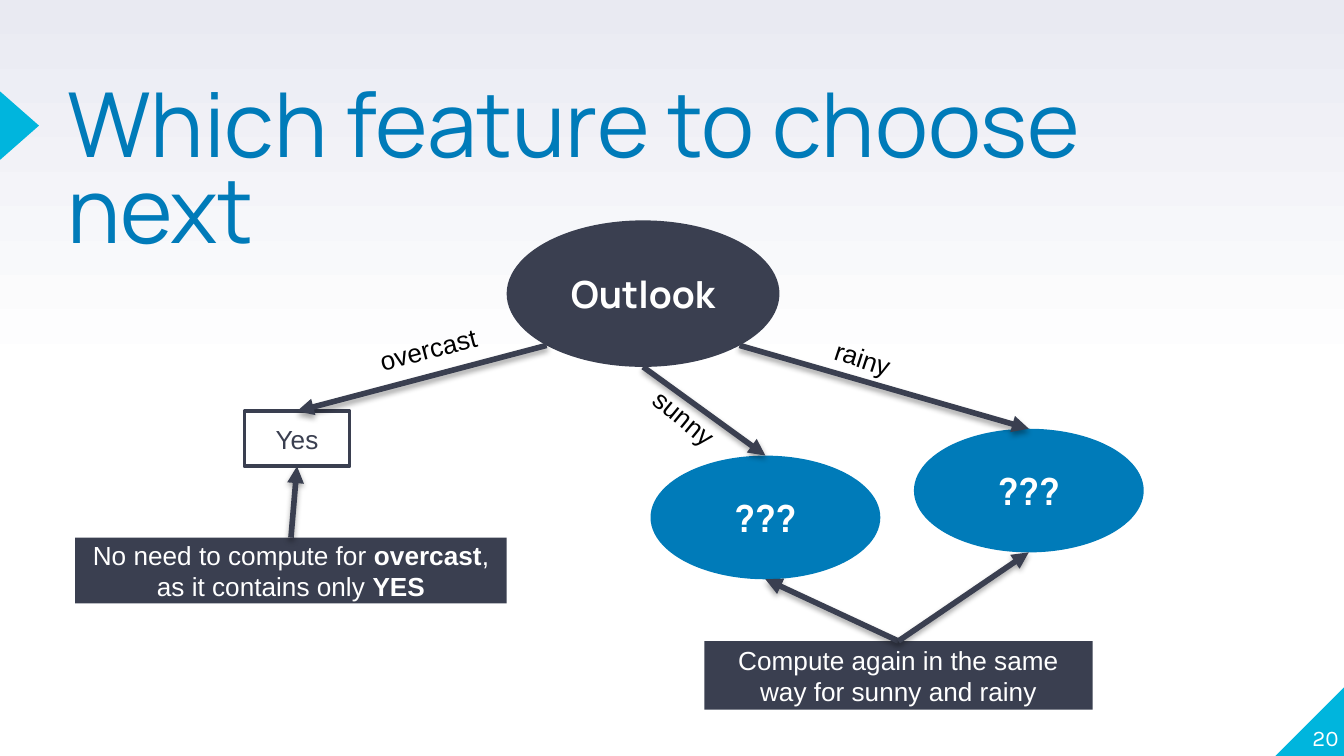
from collections import namedtuple
from copy import deepcopy
from math import sqrt

from lxml import etree
from pptx import Presentation
from pptx.dml.color import RGBColor
from pptx.enum.shapes import MSO_CONNECTOR, MSO_SHAPE
from pptx.enum.text import MSO_ANCHOR, MSO_AUTO_SIZE, PP_ALIGN
from pptx.oxml.ns import qn
from pptx.util import Inches, Pt

STRAIGHT = MSO_CONNECTOR.STRAIGHT
ELLIPSE, RECTANGLE = MSO_SHAPE.OVAL, MSO_SHAPE.RECTANGLE
TRIANGLE, CORNER = MSO_SHAPE.ISOSCELES_TRIANGLE, MSO_SHAPE.RIGHT_TRIANGLE
TOP, MIDDLE, BOTTOM = MSO_ANCHOR.TOP, MSO_ANCHOR.MIDDLE, MSO_ANCHOR.BOTTOM
LEFT, CENTER, RIGHT = PP_ALIGN.LEFT, PP_ALIGN.CENTER, PP_ALIGN.RIGHT
FIT_SHAPE = MSO_AUTO_SIZE.SHAPE_TO_FIT_TEXT

SLATE = RGBColor(0x3A, 0x3F, 0x50)
BLUE = RGBColor(0x00, 0x7B, 0xB9)
CYAN = RGBColor(0x00, 0xB5, 0xDD)
MIST = RGBColor(0xE9, 0xEA, 0xF2)
WHITE = RGBColor(0xFF, 0xFF, 0xFF)
BLACK = RGBColor(0x00, 0x00, 0x00)

# The page is a grid of square cells
COLUMNS, ROWS = 100, 56.25
CELL = Inches(0.1)
Box = namedtuple("Box", "left top width height")


def inside(box, left, top, width, height):
    """A box given in cells from the corner of another box."""
    return Box(box.left + left, box.top + top, width, height)


def cells(*counts):
    return [round(count * CELL) for count in counts]


def anchor(box, side):
    """The point where an arrow meets a box or the ellipse within it."""
    across, down = {
        "top": (0, -1), "bottom": (0, 1),
        "lower left": (-sqrt(0.5), sqrt(0.5)),
        "lower right": (sqrt(0.5), sqrt(0.5)),
    }[side]
    return (box.left + box.width * (1 + across) / 2,
            box.top + box.height * (1 + down) / 2)


def write(shape, text, *, size=14, font="Arial", color=WHITE, bold=False,
          align=CENTER, anchored=MIDDLE, wrap=True, margins=True, spacing=None):
    """Write text into a shape; parts between asterisks turn bold."""
    frame = shape.text_frame
    frame.word_wrap = wrap
    frame.vertical_anchor = anchored
    if not margins:
        frame.margin_left = frame.margin_right = 0
        frame.margin_top = frame.margin_bottom = 0
    para = frame.paragraphs[0]
    para.alignment = align
    if spacing:
        para.line_spacing = spacing
    for index, part in enumerate(text.split("*")):
        if part:
            span = para.add_run()
            span.text = part
            span.font.size = Pt(size)
            span.font.name = font
            span.font.color.rgb = color
            span.font.bold = bold or index % 2 == 1


def add_block(page, kind, box, fill, outline=None):
    shape = page.shapes.add_shape(kind, *cells(*box))
    shape.shadow.inherit = False
    shape.fill.solid()
    shape.fill.fore_color.rgb = fill
    if outline is None:
        shape.line.fill.background()
    else:
        shape.line.color.rgb = outline
        shape.line.width = Pt(2)
    return shape


def add_text(page, box, text, **style):
    shape = page.shapes.add_textbox(*cells(*box))
    write(shape, text, **style)
    return shape


def add_arrow(page, start, end):
    arrow = page.shapes.add_connector(STRAIGHT, *cells(*start, *end))
    arrow.line.color.rgb = SLATE
    arrow.line.width = Pt(3)
    etree.SubElement(arrow.line._get_or_add_ln(), qn("a:tailEnd"), type="triangle")
    # Soft shadow straight below the line
    effects = etree.SubElement(arrow._element.spPr, qn("a:effectLst"))
    shadow = etree.SubElement(
        effects, qn("a:outerShdw"), blurRad=str(Pt(3.1)), dist=str(Pt(1.8)),
        dir="5400000", rotWithShape="0")
    tint = etree.SubElement(shadow, qn("a:srgbClr"), val=str(BLACK))
    etree.SubElement(tint, qn("a:alpha"), val="35000")


def paint_background(page):
    fill = page.background.fill
    fill.gradient()
    fill.gradient_angle = 90
    stops = fill.gradient_stops
    for stop, color in zip(stops, (WHITE, MIST)):
        stop.color.rgb = color
    # White holds up to the middle of the page
    first = next(page._element.iter(qn("a:gs")))
    middle = deepcopy(first)
    middle.set("pos", "50000")
    first.addnext(middle)


def add_heading(page, box):
    marker = add_block(page, TRIANGLE, inside(box, -1.1, 1.3, 5.1, 2.9), CYAN)
    marker.rotation = 90
    add_text(page, inside(box, 5, 0, 85.7, box.height),
             "Which feature to choose next", size=48, font="Manrope", color=BLUE,
             align=LEFT, anchored=TOP, margins=False, spacing=0.8)


def add_page_number(page, box):
    corner = add_block(page, CORNER, box, CYAN)
    corner._element.spPr.find(qn("a:xfrm")).set("flipH", "1")
    add_text(page, inside(box, -0.3, -0.4, 5, 5.1), "20", size=12, font="Karla",
             align=RIGHT, anchored=BOTTOM, margins=False)


def add_tree(page, box):
    """Draw the decision tree and return the boxes of its leaves."""
    root = inside(box, 32.1, 0, 20.3, 10.9)
    leaves = {
        "rainy": inside(box, 62.4, 15.5, 17.1, 9.2),
        "sunny": inside(box, 42.8, 17.5, 17.1, 9.2),
        "overcast": inside(box, 12.6, 14.2, 7.8, 4.1),
    }
    # Nodes
    nodes = [(root, "Outlook", SLATE), (leaves["rainy"], "???", BLUE),
             (leaves["sunny"], "???", BLUE)]
    for place, text, fill in nodes:
        write(add_block(page, ELLIPSE, place, fill), text,
              size=20, font="Manrope", bold=True)
    answer = add_block(page, RECTANGLE, leaves["overcast"], WHITE, SLATE)
    write(answer, "Yes", color=SLATE)

    # Branches: value, side of the root, label box, label angle
    branches = [
        ("overcast", "lower left", inside(box, 21.6, 7.9, 9.4, 3.4), 345.4),
        ("rainy", "lower right", inside(box, 55.5, 8.6, 6.3, 3.4), 18.1),
        ("sunny", "bottom", inside(box, 41.7, 13, 7.2, 3.4), 39.4),
    ]
    for value, side, place, angle in branches:
        add_arrow(page, anchor(root, side), anchor(leaves[value], "top"))
        label = add_text(page, place, value, color=BLACK, align=LEFT,
                         anchored=TOP, wrap=False)
        label.text_frame.auto_size = FIT_SHAPE
        label.rotation = angle
    return leaves


def add_note(page, box, text, targets):
    """A caption with an arrow to the foot of each leaf it explains."""
    write(add_block(page, RECTANGLE, box, SLATE), text)
    for target in targets:
        add_arrow(page, anchor(box, "top"), anchor(target, "bottom"))


def main():
    deck = Presentation()
    deck.slide_width, deck.slide_height = cells(COLUMNS, ROWS)
    page = deck.slides.add_slide(deck.slide_layouts[6])

    paint_background(page)
    add_page_number(page, Box(COLUMNS - 5.1, ROWS - 5.1, 5.1, 5.1))
    add_heading(page, Box(0, 6.6, COLUMNS, 11.8))
    leaves = add_tree(page, Box(5.6, 16.4, 79.5, 26.7))
    add_note(page, Box(52.4, 47.7, 28.9, 5.1),
             "Compute again in the same way for sunny and rainy",
             [leaves["sunny"], leaves["rainy"]])
    add_note(page, Box(5.6, 40, 32.1, 4.9),
             "No need to compute for *overcast*, as it contains only *YES*",
             [leaves["overcast"]])

    deck.save("out.pptx")


if __name__ == "__main__":
    main()
